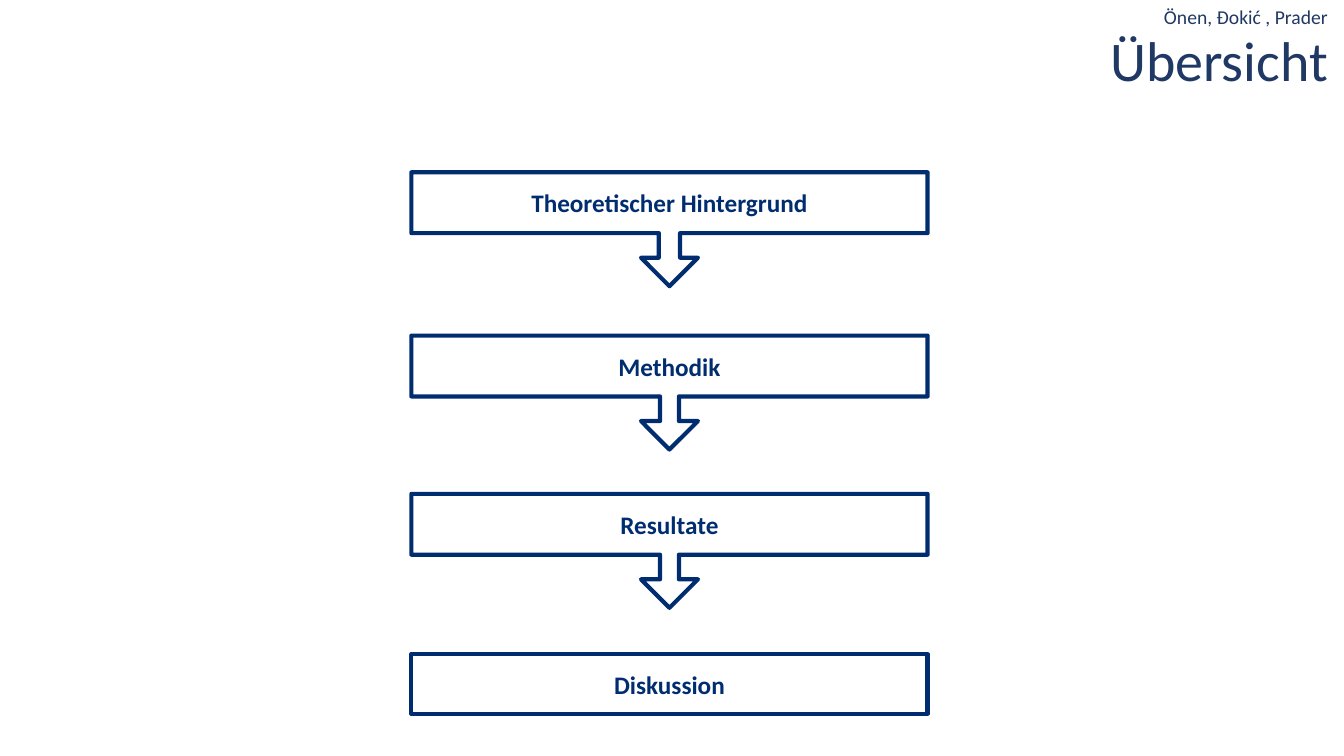
"""Build the overview slide: four study stages linked by arrow callouts."""
from dataclasses import dataclass

from pptx import Presentation
from pptx.dml.color import RGBColor
from pptx.enum.shapes import MSO_SHAPE
from pptx.enum.text import MSO_ANCHOR, PP_ALIGN
from pptx.util import Inches, Pt

AUTHORS = "Önen, Đokić , Prader"
TITLE = "Übersicht"
STAGES = [
    ("Theoretischer Hintergrund", 1.71, 0.187),
    ("Methodik", 3.33, 0.166),
    ("Resultate", 4.9, 0.166),
    ("Diskussion", 6.49, None),
]

SLIDE_WIDTH, SLIDE_HEIGHT = 13.33, 7.5
HEADER_RIGHT = 13.27
STAGE_LEFT, STAGE_WIDTH = 4.08, 5.12
CALLOUT_HEIGHT, LAST_HEIGHT = 1.13, 0.59
ARROW_HEAD, BOX_SHARE = 0.25, 0.534


@dataclass(frozen=True)
class Theme:
    font: str = "Calibri"
    heading: RGBColor = RGBColor(0x20, 0x38, 0x64)
    stage: RGBColor = RGBColor(0x00, 0x2D, 0x70)
    author_size: int = 14
    title_size: int = 40
    stage_size: int = 18
    line_width: int = 3


THEME = Theme()


def write(shape, text, align, size, color, bold=False, spacing=1.0):
    frame = shape.text_frame
    frame.word_wrap = True
    frame.vertical_anchor = MSO_ANCHOR.MIDDLE
    para = frame.paragraphs[0]
    para.alignment = align
    para.line_spacing = spacing
    span = para.add_run()
    span.text = text
    for name, value in {"name": THEME.font, "size": Pt(size), "bold": bold}.items():
        setattr(span.font, name, value)
    span.font.color.rgb = color


def add_header(page):
    title = page.shapes.title
    width, height = 9.05, 0.72
    place = {"left": HEADER_RIGHT - width, "top": 0.27, "width": width, "height": height}
    for name, value in place.items():
        setattr(title, name, Inches(value))
    write(title, TITLE, PP_ALIGN.RIGHT, THEME.title_size, THEME.heading, spacing=0.9)
    width = 2.26
    authors = page.shapes.add_textbox(
        Inches(HEADER_RIGHT - width), Inches(-0.03), Inches(width), Inches(0.41))
    write(authors, AUTHORS, PP_ALIGN.RIGHT, THEME.author_size, THEME.heading, spacing=0.9)


def add_stage(page, label, top, shaft):
    kind, height = MSO_SHAPE.RECTANGLE, LAST_HEIGHT
    if shaft is not None:
        kind, height = MSO_SHAPE.DOWN_ARROW_CALLOUT, CALLOUT_HEIGHT
    box = page.shapes.add_shape(
        kind, Inches(STAGE_LEFT), Inches(top), Inches(STAGE_WIDTH), Inches(height))
    if shaft is not None:
        for index, value in enumerate((shaft, ARROW_HEAD, ARROW_HEAD, BOX_SHARE)):
            box.adjustments[index] = value
    box.shadow.inherit = False
    box.fill.background()
    box.line.color.rgb = THEME.stage
    box.line.width = Pt(THEME.line_width)
    write(box, label, PP_ALIGN.CENTER, THEME.stage_size, THEME.stage, bold=True)


def main():
    deck = Presentation()
    deck.slide_width, deck.slide_height = Inches(SLIDE_WIDTH), Inches(SLIDE_HEIGHT)
    page = deck.slides.add_slide(deck.slide_layouts.get_by_name("Title Only"))
    add_header(page)
    for label, top, shaft in STAGES:
        add_stage(page, label, top, shaft)
    deck.save("out.pptx")


if __name__ == "__main__":
    main()
